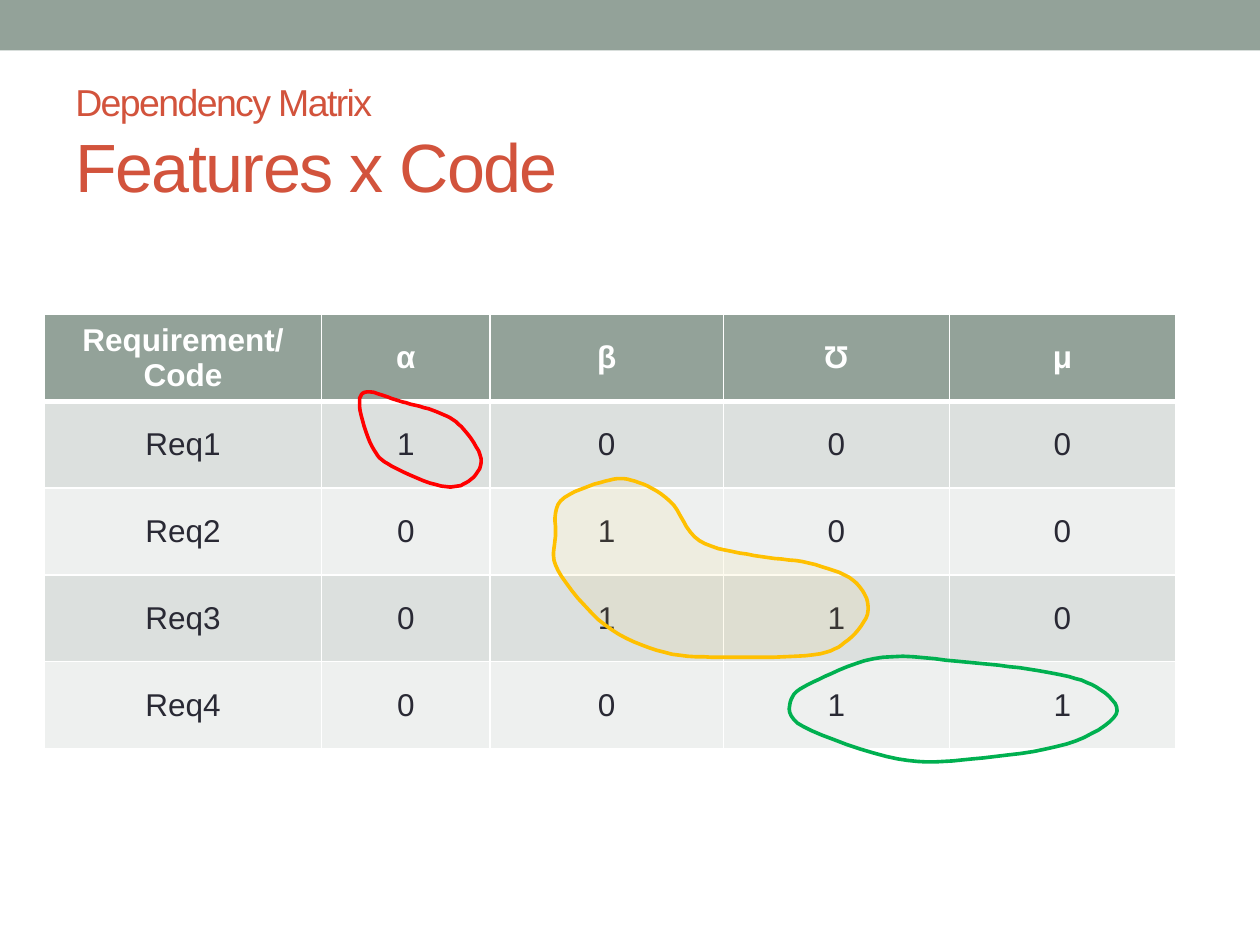
from lxml import etree
from pptx import Presentation
from pptx.dml.color import RGBColor
from pptx.enum.shapes import MSO_SHAPE
from pptx.enum.text import MSO_ANCHOR, PP_ALIGN
from pptx.oxml.ns import qn
from pptx.util import Cm, Pt

RECT = MSO_SHAPE.RECTANGLE
MIDDLE = MSO_ANCHOR.MIDDLE
CENTER = PP_ALIGN.CENTER

SAGE = RGBColor(0x93, 0xA2, 0x99)
RUST = RGBColor(0xD2, 0x53, 0x3C)
WHITE = RGBColor(0xFF, 0xFF, 0xFF)
INK = RGBColor(0x29, 0x29, 0x34)
DARK = RGBColor(0xDC, 0xE0, 0xDE)
LIGHT = RGBColor(0xEE, 0xF0, 0xEF)
GOLD = RGBColor(0xFA, 0xD1, 0x3C)
AMBER = RGBColor(0xFF, 0xC0, 0x00)
RED = RGBColor(0xFF, 0x00, 0x00)
GREEN = RGBColor(0x00, 0xB0, 0x50)


def add_run(para, text, size, color, bold=False):
    run = para.add_run()
    run.text = text
    font = run.font
    font.name, font.size, font.bold = "Arial", Pt(size), bold
    font.color.rgb = color
    return run


def set_edges(cell, widths):
    props = cell._tc.get_or_add_tcPr()
    for i, (side, width) in enumerate(zip("LRTB", widths)):
        line = etree.Element(qn(f"a:ln{side}"), w=str(Pt(width)))
        fill = etree.SubElement(line, qn("a:solidFill"))
        etree.SubElement(fill, qn("a:srgbClr"), val=str(WHITE))
        props.insert(i, line)


prs = Presentation()
prs.slide_width, prs.slide_height = Cm(25.4), Cm(19.05)
slide = prs.slides.add_slide(prs.slide_layouts[6])
shapes = slide.shapes

# Top band
band = shapes.add_shape(RECT, 0, 0, Cm(25.4), Cm(1.02))
band.shadow.inherit = False
band.fill.solid()
band.fill.fore_color.rgb = SAGE
band.line.fill.background()

# Title
title = shapes.add_textbox(Cm(1.27), Cm(1.5), Cm(22.86), Cm(2.74))
frame = title.text_frame
frame.word_wrap = True
frame.vertical_anchor = MIDDLE
para = frame.paragraphs[0]
top = add_run(para, "Dependency Matrix ", 21.4, RUST)
para.add_line_break()
main = add_run(para, "Features x Code", 39, RUST)
for run in (top, main):
    run._r.get_or_add_rPr().set("spc", "-90")

# Dependency table: 1 where a requirement uses a piece of code
codes = "αβƱμ"
links = {"Req1": "α", "Req2": "β", "Req3": "βƱ", "Req4": "Ʊμ"}
rows = [["Requirement/\nCode", *codes]]
for req, used in links.items():
    rows.append([req] + ["1" if code in used else "0" for code in codes])

widths = [5.58, 3.4, 4.7, 4.56, 4.56]
high = 1.75
table = shapes.add_table(len(rows), len(widths), Cm(0.9), Cm(6.34),
                         Cm(sum(widths)), Cm(high * len(rows))).table
for col, width in zip(table.columns, widths):
    col.width = Cm(width)
for r, row in enumerate(rows):
    table.rows[r].height = Cm(high)
    head = r == 0
    shade = SAGE if head else DARK if r % 2 else LIGHT
    for c, text in enumerate(row):
        cell = table.cell(r, c)
        cell.vertical_anchor = MIDDLE
        cell.margin_top = cell.margin_bottom = Cm(0.08)
        cell.fill.solid()
        cell.fill.fore_color.rgb = shade
        set_edges(cell, (1, 1, 3 if r == 1 else 1, 3 if head else 1))
        frame = cell.text_frame
        for i, part in enumerate(text.split("\n")):
            para = frame.add_paragraph() if i else frame.paragraphs[0]
            para.alignment = CENTER
            add_run(para, part, 18, WHITE if head else INK, head)

# Loops around linked cells: colour, tint, and a few knots in cm
loops = [
    (AMBER, GOLD, [
        (11.3, 10.1), (11.2, 10.8), (11.25, 11.5), (12.2, 12.6),
        (13.4, 13.15), (14.7, 13.25), (16.4, 13.2), (17.1, 12.9),
        (17.5, 12.3), (17.2, 11.7), (16.3, 11.35), (15.2, 11.2),
        (14.1, 10.9), (13.5, 10.1), (12.8, 9.7), (12.2, 9.7)]),
    (RED, None, [
        (7.25, 8.2), (7.5, 9), (7.9, 9.4), (8.9, 9.8), (9.45, 9.7),
        (9.7, 9.25), (9.3, 8.6), (8.8, 8.3), (8.1, 8.1), (7.4, 7.9)]),
    (GREEN, None, [
        (17.8, 13.25), (16.5, 13.7), (15.95, 14.1), (16.2, 14.65),
        (18.1, 15.3), (19.6, 15.3), (21.5, 15), (22.5, 14.4),
        (22.1, 13.85), (21.1, 13.55), (19.5, 13.35)]),
]
STEPS = 8  # points drawn from each knot to the next
UNIT = 100  # drawing units per cm
for color, tint, knots in loops:
    # A closed Catmull-Rom curve runs smoothly through all knots
    curve = []
    for i in range(len(knots)):
        near = [knots[(i + k) % len(knots)] for k in (-1, 0, 1, 2)]
        for step in range(STEPS):
            t = step / STEPS
            curve.append([
                UNIT / 2 * (2 * b + (c - a) * t
                            + (2 * a - 5 * b + 4 * c - d) * t ** 2
                            + (3 * b - a - 3 * c + d) * t ** 3)
                for a, b, c, d in zip(*near)])
    pen = shapes.build_freeform(*curve[0], scale=Cm(1) / UNIT)
    pen.add_line_segments(curve[1:], close=True)
    loop = pen.convert_to_shape()
    loop.shadow.inherit = False
    loop.line.color.rgb = color
    loop.line.width = Pt(2.08)
    if tint is None:
        loop.fill.background()
    else:
        loop.fill.solid()
        loop.fill.fore_color.rgb = tint
        tone = loop._element.spPr.find(qn("a:solidFill"))[0]
        etree.SubElement(tone, qn("a:alpha"), val="8000")

prs.save("out.pptx")
